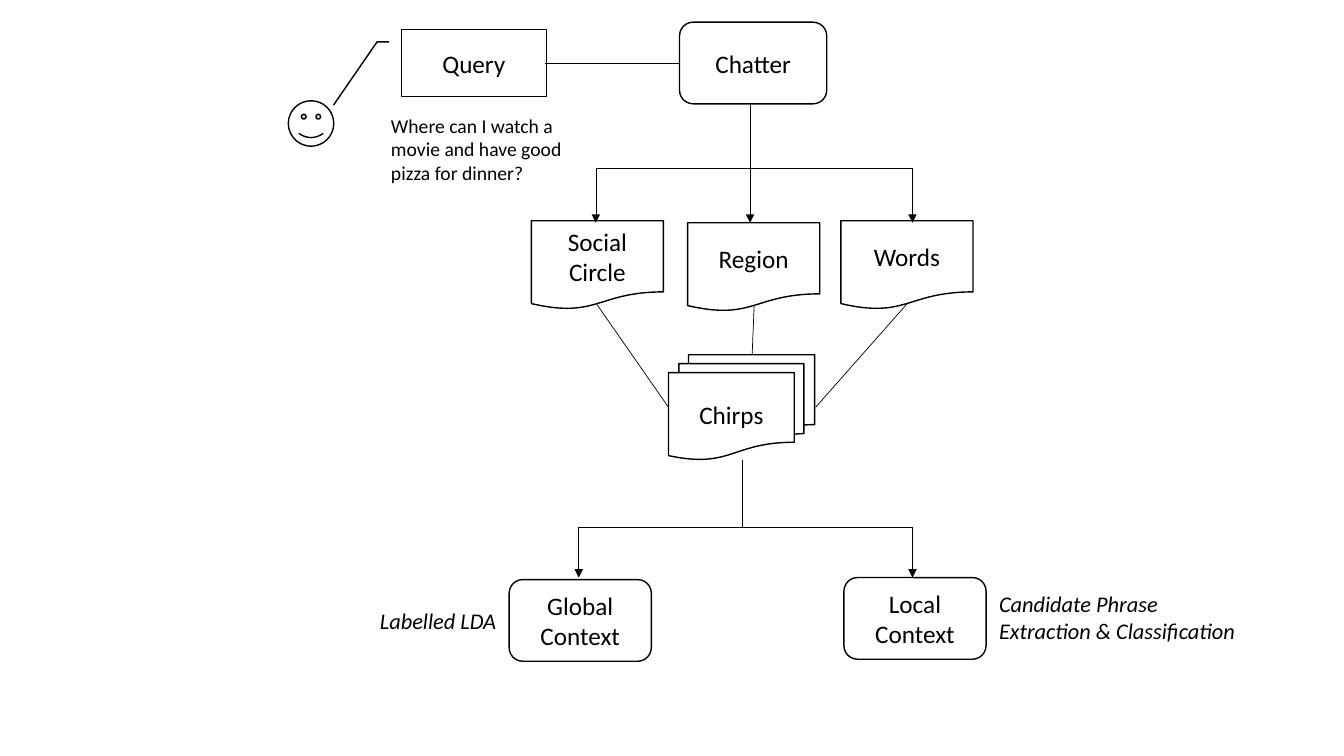
from lxml.etree import SubElement
from pptx import Presentation
from pptx.dml.color import RGBColor
from pptx.enum.shapes import MSO_CONNECTOR, MSO_SHAPE
from pptx.enum.text import MSO_ANCHOR, MSO_AUTO_SIZE, PP_ALIGN
from pptx.oxml.ns import qn
from pptx.util import Inches, Pt

COLORS = {"paper": "FFFFFF", "ink": "000000"}
FONT = "Calibri"


def color(name):
    return RGBColor.from_string(COLORS[name])


def format_text(text_frame, size, alignment, italic=False):
    for paragraph in text_frame.paragraphs:
        paragraph.alignment = alignment
        for run in paragraph.runs:
            run.font.name = FONT
            run.font.size = Pt(size)
            run.font.italic = italic
            run.font.color.rgb = color("ink")


def add_node(slide, kind, left, top, width, height, text=""):
    shape = slide.shapes.add_shape(
        kind, Inches(left), Inches(top), Inches(width), Inches(height))
    shape.shadow.inherit = False
    shape.fill.solid()
    shape.fill.fore_color.rgb = color("paper")
    shape.line.color.rgb = color("ink")
    shape.line.width = Pt(1)
    if text:
        text_frame = shape.text_frame
        text_frame.text = text
        text_frame.word_wrap = True
        text_frame.vertical_anchor = MSO_ANCHOR.MIDDLE
        format_text(text_frame, 18, PP_ALIGN.CENTER)


def add_label(slide, left, top, width, height, text, size, italic=False, wrap=False):
    box = slide.shapes.add_textbox(
        Inches(left), Inches(top), Inches(width), Inches(height))
    text_frame = box.text_frame
    text_frame.text = text
    text_frame.word_wrap = wrap
    text_frame.auto_size = MSO_AUTO_SIZE.SHAPE_TO_FIT_TEXT
    format_text(text_frame, size, PP_ALIGN.LEFT, italic)


def add_line(slide, start_x, start_y, end_x, end_y, arrow=False):
    connector = slide.shapes.add_connector(
        MSO_CONNECTOR.STRAIGHT,
        Inches(start_x), Inches(start_y), Inches(end_x), Inches(end_y))
    connector.line.color.rgb = color("ink")
    connector.line.width = Pt(0.5)
    if arrow:
        SubElement(connector.line._get_or_add_ln(), qn("a:tailEnd"), type="triangle")
    SubElement(connector._element.spPr, qn("a:effectLst"))


def add_branch(slide, stem_x, stem_top, bar_y, arrow_xs, arrow_bottom):
    add_line(slide, stem_x, stem_top, stem_x, bar_y)
    add_line(slide, min(arrow_xs), bar_y, max(arrow_xs), bar_y)
    for arrow_x in arrow_xs:
        add_line(slide, arrow_x, bar_y, arrow_x, arrow_bottom, arrow=True)


def add_query(slide):
    add_node(slide, MSO_SHAPE.SMILEY_FACE, 2.86, 1, 0.45, 0.45)
    add_node(slide, MSO_SHAPE.LINE_CALLOUT_2, 3.98, 0.29, 1.44, 0.67, "Query")
    add_label(slide, 3.78, 1.08, 2.1, 0.81,
              "Where can I watch a movie and have good pizza for dinner?", 14, wrap=True)
    add_line(slide, 5.41, 0.63, 6.74, 0.63)
    add_node(slide, MSO_SHAPE.ROUNDED_RECTANGLE, 6.74, 0.22, 1.46, 0.81, "Chatter")


def add_sources(slide):
    for left, top, text in [
        (5.27, 2.19, "Social\nCircle"),
        (6.82, 2.21, "Region"),
        (8.34, 2.19, "Words"),
    ]:
        add_node(slide, MSO_SHAPE.FLOWCHART_DOCUMENT, left, top, 1.31, 0.88, text)
    add_branch(slide, 7.44, 1.03, 1.67, [5.91, 7.44, 9.05], 2.21)


def add_posts(slide):
    add_node(slide, MSO_SHAPE.FLOWCHART_MULTIDOCUMENT, 6.63, 3.52, 1.45, 1.04, "Chirps")
    for ends in [
        (5.92, 3.02, 6.63, 4.04),
        (7.48, 3.03, 7.46, 3.52),
        (9, 3.01, 8.09, 4.04),
    ]:
        add_line(slide, *ends)


def add_contexts(slide):
    add_branch(slide, 7.36, 4.56, 5.23, [5.74, 9.05], 5.73)
    for left, top, text in [
        (5.05, 5.75, "Global\nContext"),
        (8.37, 5.73, "Local Context"),
    ]:
        add_node(slide, MSO_SHAPE.ROUNDED_RECTANGLE, left, top, 1.41, 0.81, text)
    add_label(slide, 3.67, 5.97, 1.38, 0.37, "Labelled LDA", 16, italic=True)
    add_label(slide, 9.81, 5.81, 2.58, 0.64,
              "Candidate Phrase\nExtraction & Classification", 16, italic=True)


def main():
    presentation = Presentation()
    presentation.slide_width = Inches(13.33)
    presentation.slide_height = Inches(7.5)
    slide = presentation.slides.add_slide(presentation.slide_layouts[6])
    add_query(slide)
    add_sources(slide)
    add_posts(slide)
    add_contexts(slide)
    presentation.save("out.pptx")


main()
